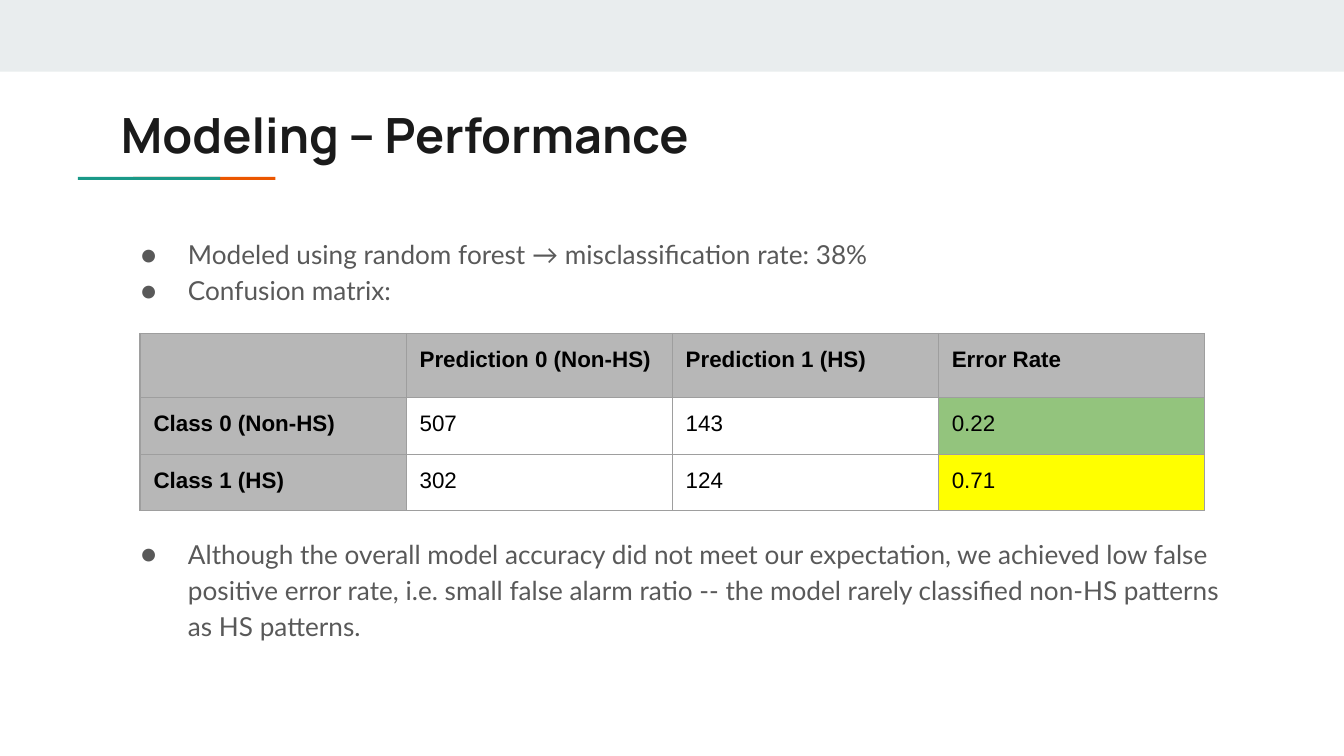
from lxml.etree import SubElement
from pptx import Presentation
from pptx.dml.color import RGBColor
from pptx.enum.shapes import MSO_SHAPE
from pptx.enum.text import MSO_ANCHOR, MSO_AUTO_SIZE, PP_ALIGN
from pptx.oxml.ns import qn
from pptx.util import Inches, Pt

WIDE = Inches(10)
HIGH = WIDE * 9 // 16
GRAY, GRID, HEAD = "595959", "9E9E9E", "B7B7B7"

ROWS = [
    ["", "Prediction 0 (Non-HS)", "Prediction 1 (HS)", "Error Rate"],
    ["Class 0 (Non-HS)", "507", "143", "0.22"],
    ["Class 1 (HS)", "302", "124", "0.71"],
]
MARKS = {(1, 3): "93C47D", (2, 3): "FFFF00"}
NOTES = [
    ("Modeled using random forest → misclassification rate: 38%", 0),
    ("Confusion matrix:", 0),
    ("Although the overall model accuracy did not meet our expectation, "
     "we achieved low false positive error rate, i.e. small false alarm ratio "
     "-- the model rarely classified non-HS patterns as HS patterns.", 122),
]


def color(code):
    return RGBColor.from_string(code)


def share(x, y, w, h):
    return [round(part * size / 100)
            for part, size in zip((x, y, w, h), (WIDE, HIGH, WIDE, HIGH))]


def inset(frame):
    frame.margin_left = frame.margin_right = Inches(0.1)
    frame.margin_top = frame.margin_bottom = Inches(0.1)


def write(para, text, font="Arial", size=12, ink="000000", bold=False,
          line=1.0, before=0):
    para.alignment = PP_ALIGN.LEFT
    para.line_spacing = line
    para.space_before = Pt(before)
    if not text:
        SubElement(para._p, qn("a:endParaRPr"), sz=str(size * 100))
        return
    run = para.add_run()
    run.text = text
    run.font.name = font
    run.font.size = Pt(size)
    run.font.bold = bold
    run.font.color.rgb = color(ink)


def dot(para):
    props = para._p.get_or_add_pPr()
    props.set("marL", str(Inches(0.5)))
    props.set("indent", str(Inches(-0.35)))
    tint = SubElement(props, qn("a:buClr"))
    SubElement(tint, qn("a:srgbClr"), val=GRAY)
    SubElement(props, qn("a:buFont"), typeface="Lato")
    SubElement(props, qn("a:buChar"), char="●")


def edge(cell):
    props = cell._tc.get_or_add_tcPr()
    for side in "LRTB":
        line = SubElement(props, qn(f"a:ln{side}"), w=str(Pt(0.75)))
        fill = SubElement(line, qn("a:solidFill"))
        SubElement(fill, qn("a:srgbClr"), val=GRID)


def bar(slide, box, code):
    shape = slide.shapes.add_shape(MSO_SHAPE.RECTANGLE, *box)
    shape.shadow.inherit = False
    shape.fill.solid()
    shape.fill.fore_color.rgb = color(code)
    shape.line.fill.background()
    return shape


def rule(slide, box):
    x, y, w, h = box
    long = round(w * 0.72)
    for left, code in ((x + w - long, "EB5600"), (x, "1A9988")):
        spot = (left + (long - h) // 2, y + (h - long) // 2, h, long)
        bar(slide, spot, code).rotation = 270


def title(slide, box):
    shape = slide.shapes.title
    shape.left, shape.top, shape.width, shape.height = box
    frame = shape.text_frame
    inset(frame)
    frame.word_wrap = True
    frame.auto_size = MSO_AUTO_SIZE.NONE
    frame.vertical_anchor = MSO_ANCHOR.TOP
    write(frame.paragraphs[0], "Modeling -- Performance", font="Manrope",
          size=26, ink="1A1A1A", bold=True)


def body(slide, box):
    frame = slide.shapes.add_textbox(*box).text_frame
    inset(frame)
    frame.word_wrap = True
    for i, (text, gap) in enumerate(NOTES):
        para = frame.add_paragraph() if i else frame.paragraphs[0]
        write(para, text, font="Lato", size=14, ink=GRAY, line=1.15, before=gap)
        dot(para)


def matrix(slide, box):
    table = slide.shapes.add_table(len(ROWS), len(ROWS[0]), *box).table
    table.first_row = table.horz_banding = False
    parts = (8, 7, 7)
    for row, part in zip(table.rows, parts):
        row.height = box[3] * part // sum(parts)
    for r, row in enumerate(ROWS):
        for c, text in enumerate(row):
            cell = table.cell(r, c)
            label = r == 0 or c == 0
            inset(cell)
            edge(cell)
            write(cell.text_frame.paragraphs[0], text, bold=label)
            code = HEAD if label else MARKS.get((r, c))
            if code:
                cell.fill.solid()
                cell.fill.fore_color.rgb = color(code)
            else:
                cell.fill.background()


def main():
    deck = Presentation()
    deck.slide_width, deck.slide_height = WIDE, HIGH
    slide = deck.slides.add_slide(deck.slide_layouts[5])
    bar(slide, share(0, 0, 100, 9.5), "E9EDEE")
    rule(slide, share(5.8, 23.4, 14.7, 0.4))
    title(slide, share(8, 12.1, 84.1, 10.6))
    body(slide, share(8, 29.12, 84.1, 65.2))
    matrix(slide, share(10.42, 44.1, 79.2, 23.45))
    deck.save("out.pptx")


if __name__ == "__main__":
    main()
